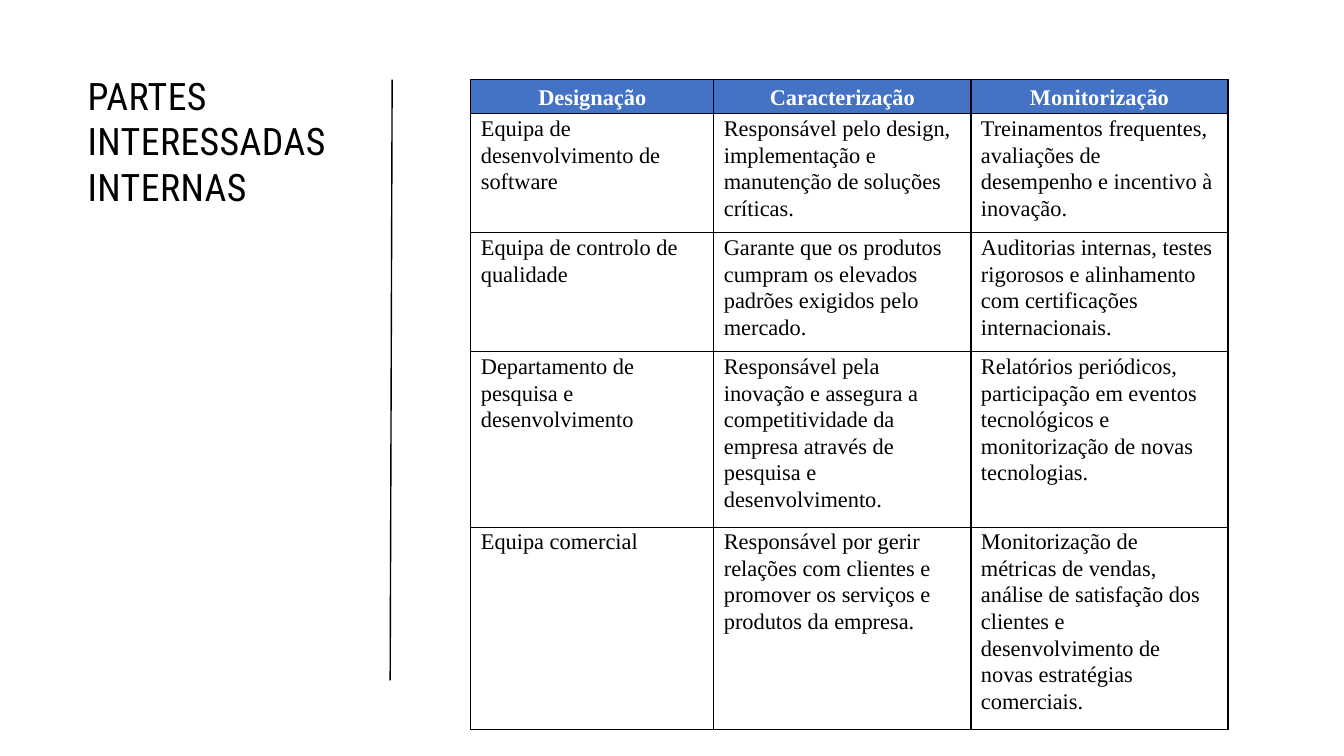
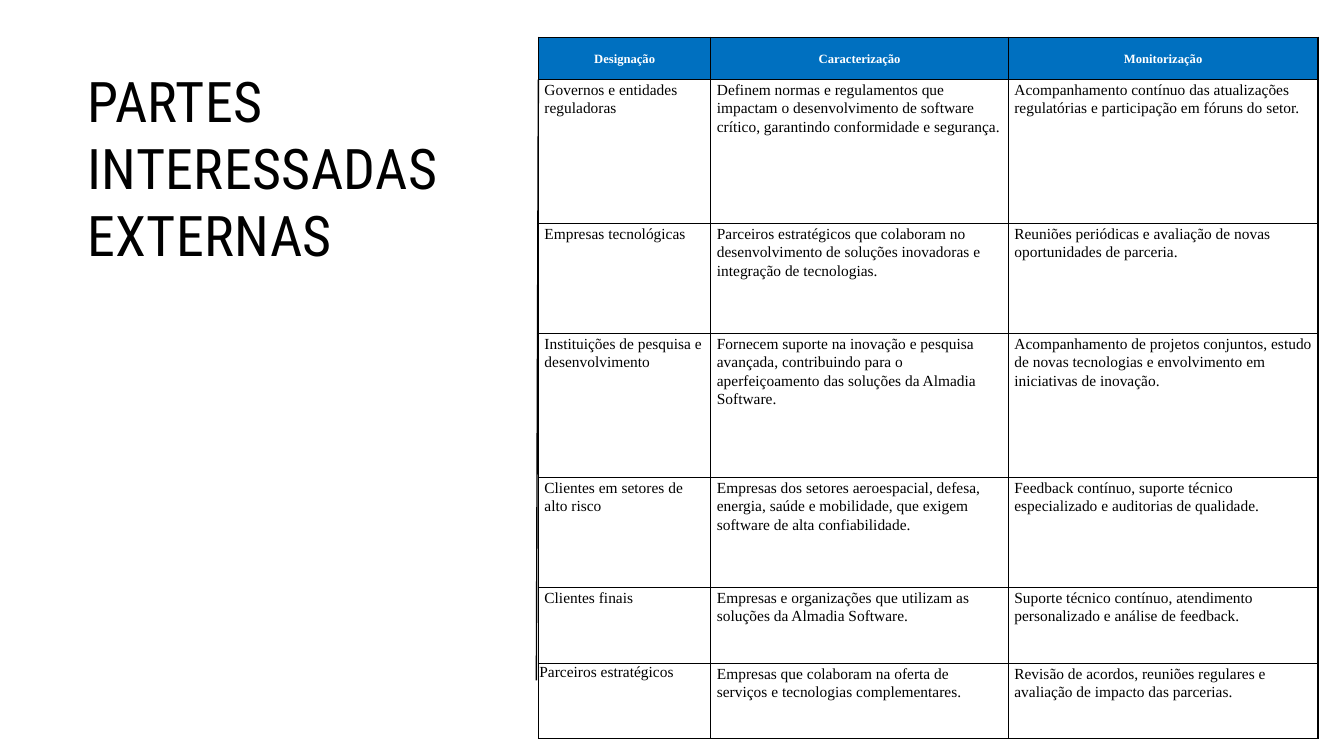
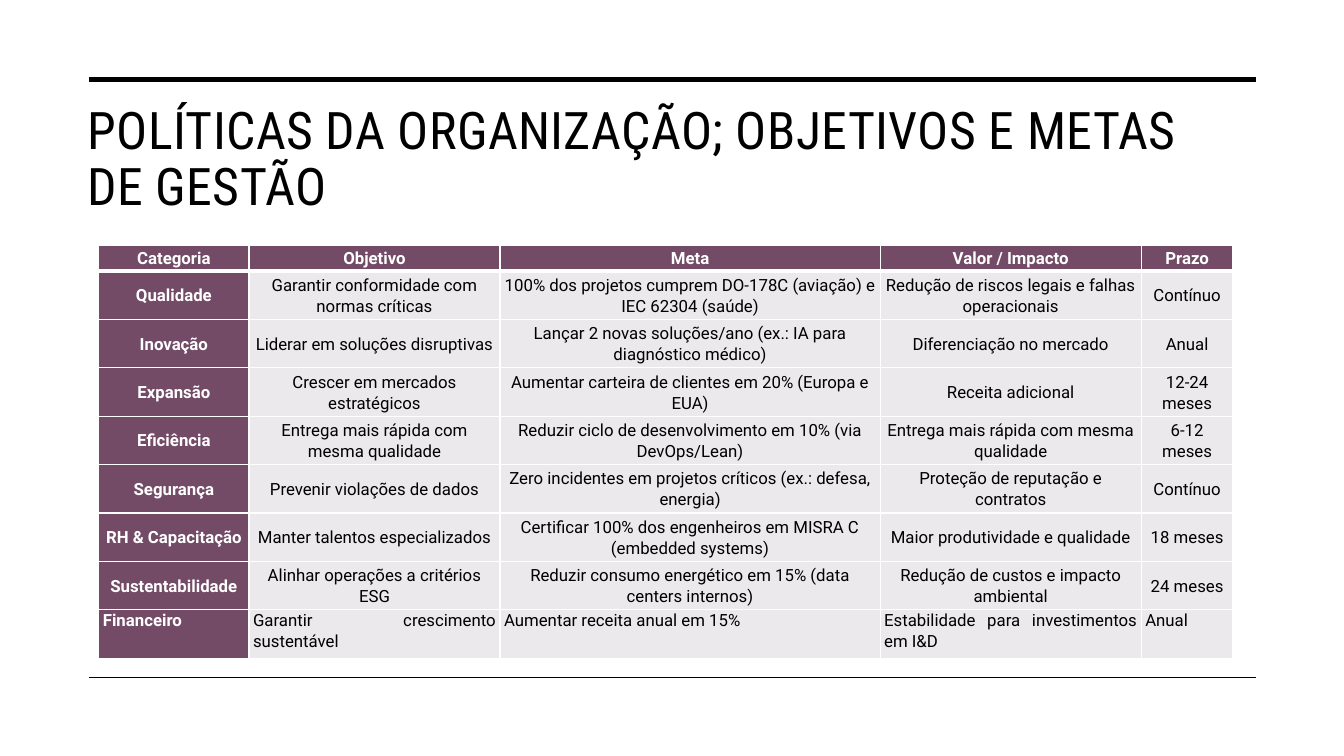
import dataclasses

import pptx
import pptx.dml.color
import pptx.enum.shapes
import pptx.enum.text
import pptx.oxml
import pptx.oxml.ns
import pptx.util

ALIGN = pptx.enum.text.PP_ALIGN
ANCHOR = pptx.enum.text.MSO_ANCHOR


@dataclasses.dataclass(frozen=True)
class Theme:
    ink: str = "000000"
    paper: str = "FFFFFF"
    blue: str = "4472C4"
    azure: str = "0070C0"
    plum: str = "734B67"
    mist: str = "EBE9EB"
    title_font: str = "Roboto Condensed"
    serif: str = "Times New Roman"
    sans: str = "Roboto"
    title_small: int = 27
    title_medium: int = 37
    title_large: int = 40
    text_large: int = 16
    text_medium: int = 12
    text_small: int = 11
    text_tiny: int = 9
    hairline: float = 1
    thick: float = 3
    band: float = 3.5
    tracking: str = "30"


@dataclasses.dataclass(frozen=True)
class TableStyle:
    font: str
    size: int
    head_size: int
    head_fill: str
    pad: tuple
    border: str
    body_fill: str = None
    head_column: bool = False
    head_line: float = 1
    body_align: ALIGN = ALIGN.LEFT
    body_anchor: ANCHOR = ANCHOR.TOP


def rgb(value):
    return pptx.dml.color.RGBColor.from_string(value)


def apply(target, values):
    for name, value in values.items():
        setattr(target, name, value)


class Deck:
    def __init__(self, theme):
        self.theme = theme
        self.prs = pptx.Presentation()
        self.prs.slide_width = pptx.util.Inches(13.33)
        self.prs.slide_height = pptx.util.Inches(7.5)
        self.slide = None

    def x(self, share):
        return round(self.prs.slide_width * share / 100)

    def y(self, share):
        return round(self.prs.slide_height * share / 100)

    def box(self, left, top, width, height):
        return self.x(left), self.y(top), self.x(width), self.y(height)

    def new_slide(self):
        self.slide = self.prs.slides.add_slide(self.prs.slide_layouts[6])

    def style_runs(self, p, font, size, color, bold=False):
        for r in p.runs:
            apply(r.font, {"name": font, "size": pptx.util.Pt(size), "bold": bold})
            r.font.color.rgb = rgb(color)

    def title(self, text, box, size, spacing=1.0):
        t = self.theme
        tf = self.slide.shapes.add_textbox(*self.box(*box)).text_frame
        apply(tf, {"word_wrap": True, "vertical_anchor": ANCHOR.TOP})
        p = tf.paragraphs[0]
        p.text = text
        p.line_spacing = spacing
        self.style_runs(p, t.title_font, size, t.ink)
        for r in p.runs:
            r.font._element.set("spc", t.tracking)

    def line(self, x1, y1, x2, y2, width):
        sp = self.slide.shapes.add_connector(
            pptx.enum.shapes.MSO_CONNECTOR.STRAIGHT,
            self.x(x1), self.y(y1), self.x(x2), self.y(y2))
        sp.line.color.rgb = rgb(self.theme.ink)
        sp.line.width = pptx.util.Pt(width)
        sp._element.spPr.append(pptx.oxml.parse_xml(
            f"<a:effectLst {pptx.oxml.ns.nsdecls('a')}/>"))

    def borders(self, cell, color, widths):
        tcPr = cell._tc.get_or_add_tcPr()
        for side, width in zip("LRTB", widths):
            tcPr.append(pptx.oxml.parse_xml(
                f"<a:ln{side} {pptx.oxml.ns.nsdecls('a')} w='{pptx.util.Pt(width)}'>"
                f"<a:solidFill><a:srgbClr val='{color}'/></a:solidFill></a:ln{side}>"))

    def cell(self, cell, text, style, row, col, special):
        t = self.theme
        head = row == 0
        strong = head or (style.head_column and col == 0)
        look = {
            "align": ALIGN.CENTER if head else style.body_align,
            "anchor": ANCHOR.MIDDLE if head else style.body_anchor,
            "pad": style.pad, "spacing": 1.07, "after": 8, **special}
        thin = t.hairline
        self.borders(cell, style.border, (
            thin, thin,
            style.head_line if row == 1 else thin,
            style.head_line if head else thin))
        fill = style.head_fill if strong else style.body_fill
        if fill:
            cell.fill.solid()
            cell.fill.fore_color.rgb = rgb(fill)
        else:
            cell.fill.background()
        sides = ("margin_left", "margin_top", "margin_right", "margin_bottom")
        apply(cell, dict(zip(sides, map(pptx.util.Inches, look["pad"]))))
        cell.vertical_anchor = look["anchor"]
        p = cell.text_frame.paragraphs[0]
        p.text = text
        apply(p, {"alignment": look["align"], "line_spacing": look["spacing"],
                  "space_after": pptx.util.Pt(look["after"])})
        self.style_runs(p, style.font, style.head_size if head else style.size,
                        t.paper if strong else t.ink, strong)

    def table(self, box, cols, rows, data, style, special=None):
        special = special or {}
        area = self.box(*box)
        table = self.slide.shapes.add_table(len(rows), len(cols), *area).table
        apply(table, {"first_row": False, "horz_banding": False})
        for column, weight in zip(table.columns, cols):
            column.width = round(area[2] * weight / sum(cols))
        for row, weight in zip(table.rows, rows):
            row.height = round(area[3] * weight / sum(rows))
        for i, texts in enumerate(data):
            for j, text in enumerate(texts):
                self.cell(table.cell(i, j), text, style, i, j, special.get((i, j), {}))


HEADINGS = ("Designação", "Caracterização", "Monitorização")

INTERNAL = [
    HEADINGS,
    ("Equipa de desenvolvimento de software",
     "Responsável pelo design, implementação e manutenção de soluções críticas.",
     "Treinamentos frequentes, avaliações de desempenho e incentivo à inovação."),
    ("Equipa de controlo de qualidade",
     "Garante que os produtos cumpram os elevados padrões exigidos pelo mercado.",
     "Auditorias internas, testes rigorosos e alinhamento com certificações internacionais."),
    ("Departamento de pesquisa e desenvolvimento",
     "Responsável pela inovação e assegura a competitividade da empresa através de "
     "pesquisa e desenvolvimento.",
     "Relatórios periódicos, participação em eventos tecnológicos e monitorização de "
     "novas tecnologias."),
    ("Equipa comercial",
     "Responsável por gerir relações com clientes e promover os serviços e produtos da empresa.",
     "Monitorização de métricas de vendas, análise de satisfação dos clientes e "
     "desenvolvimento de novas estratégias comerciais."),
]

EXTERNAL = [
    HEADINGS,
    ("Governos e entidades reguladoras",
     "Definem normas e regulamentos que impactam o desenvolvimento de software crítico, "
     "garantindo conformidade e segurança.",
     "Acompanhamento contínuo das atualizações regulatórias e participação em fóruns do setor."),
    ("Empresas tecnológicas",
     "Parceiros estratégicos que colaboram no desenvolvimento de soluções inovadoras e "
     "integração de tecnologias.",
     "Reuniões periódicas e avaliação de novas oportunidades de parceria."),
    ("Instituições de pesquisa e desenvolvimento",
     "Fornecem suporte na inovação e pesquisa avançada, contribuindo para o "
     "aperfeiçoamento das soluções da Almadia Software.",
     "Acompanhamento de projetos conjuntos, estudo de novas tecnologias e envolvimento "
     "em iniciativas de inovação."),
    ("Clientes em setores de alto risco",
     "Empresas dos setores aeroespacial, defesa, energia, saúde e mobilidade, que exigem "
     "software de alta confiabilidade.",
     "Feedback contínuo, suporte técnico especializado e auditorias de qualidade."),
    ("Clientes finais",
     "Empresas e organizações que utilizam as soluções da Almadia Software.",
     "Suporte técnico contínuo, atendimento personalizado e análise de feedback."),
    ("Parceiros estratégicos",
     "Empresas que colaboram na oferta de serviços e tecnologias complementares.",
     "Revisão de acordos, reuniões regulares e avaliação de impacto das parcerias."),
]

GOALS = [
    ("Categoria", "Objetivo", "Meta", "Valor / Impacto", "Prazo"),
    ("Qualidade", "Garantir conformidade com normas críticas",
     "100% dos projetos cumprem DO-178C (aviação) e IEC 62304 (saúde)",
     "Redução de riscos legais e falhas operacionais", "Contínuo"),
    ("Inovação", "Liderar em soluções disruptivas",
     "Lançar 2 novas soluções/ano (ex.: IA para diagnóstico médico)",
     "Diferenciação no mercado", "Anual"),
    ("Expansão", "Crescer em mercados estratégicos",
     "Aumentar carteira de clientes em 20% (Europa e EUA)",
     "Receita adicional", "12-24 meses"),
    ("Eficiência", "Entrega mais rápida com mesma qualidade",
     "Reduzir ciclo de desenvolvimento em 10% (via DevOps/Lean)",
     "Entrega mais rápida com mesma qualidade", "6-12 meses"),
    ("Segurança", "Prevenir violações de dados",
     "Zero incidentes em projetos críticos (ex.: defesa, energia)",
     "Proteção de reputação e contratos", "Contínuo"),
    ("RH & Capacitação", "Manter talentos especializados",
     "Certificar 100% dos engenheiros em MISRA C (embedded systems)",
     "Maior produtividade e qualidade", "18 meses"),
    ("Sustentabilidade", "Alinhar operações a critérios ESG",
     "Reduzir consumo energético em 15% (data centers internos)",
     "Redução de custos e impacto ambiental", "24 meses"),
    ("Financeiro", "Garantir crescimento sustentável",
     "Aumentar receita anual em 15%",
     "Estabilidade para investimentos em I&D", "Anual"),
]


def main():
    t = Theme()
    deck = Deck(t)
    margin, top, bottom = 5.78, 10.53, 90

    deck.new_slide()
    deck.title("PARTES INTERESSADAS\vINTERNAS", (margin, 8.93, 20.7, 65.47), t.title_small)
    deck.line(29.03, bottom, 29.18, top, t.hairline)
    deck.table((35.03, top, 56.34, 78.67), (2.41, 2.55, 2.55),
               (0.34, 1.18, 1.18, 1.74, 1.46), INTERNAL,
               TableStyle(t.serif, t.text_large, t.text_large, t.blue,
                          (0.1, 0.01, 0.1, 0), t.ink))

    deck.new_slide()
    deck.title("PARTES INTERESSADAS EXTERNAS", (margin, 8.13, 29.7, 66.53), t.title_large)
    deck.line(39.91, bottom, 40.06, top, t.hairline)
    deck.table((40.06, 4.93, 58, 92.8), (1.71, 2.95, 3.07),
               (0.42, 1.43, 1.09, 1.43, 1.09, 0.75, 0.75), EXTERNAL,
               TableStyle(t.serif, t.text_small, t.text_tiny, t.azure,
                          (0.06, 0.01, 0.06, 0), t.ink),
               {(6, 0): {"pad": (0.01,) * 4, "spacing": 1.0, "after": 0}})

    deck.new_slide()
    deck.title("POLÍTICAS DA ORGANIZAÇÃO; OBJETIVOS E METAS DE GESTÃO",
               (margin, 13.2, 87.7, 16.8), t.title_medium, 0.9)
    for height, width in ((top, t.band), (89.6, t.hairline)):
        deck.line(6.6, height, 93.47, height, width)
    last = len(GOALS) - 1
    justified = {"align": ALIGN.JUSTIFY, "anchor": ANCHOR.TOP}
    deck.table((7.35, 32.4, 84.4, 54.67), (1.49, 2.49, 3.77, 2.59, 0.91),
               (0.26,) + (0.48,) * last, GOALS,
               TableStyle(t.sans, t.text_medium, t.text_medium, t.plum,
                          (0.04, 0, 0.04, 0), t.paper, t.mist, True, t.thick,
                          ALIGN.CENTER, ANCHOR.MIDDLE),
               {(last, col): justified for col in range(len(GOALS[0]))})

    deck.prs.save("out.pptx")


if __name__ == "__main__":
    main()
